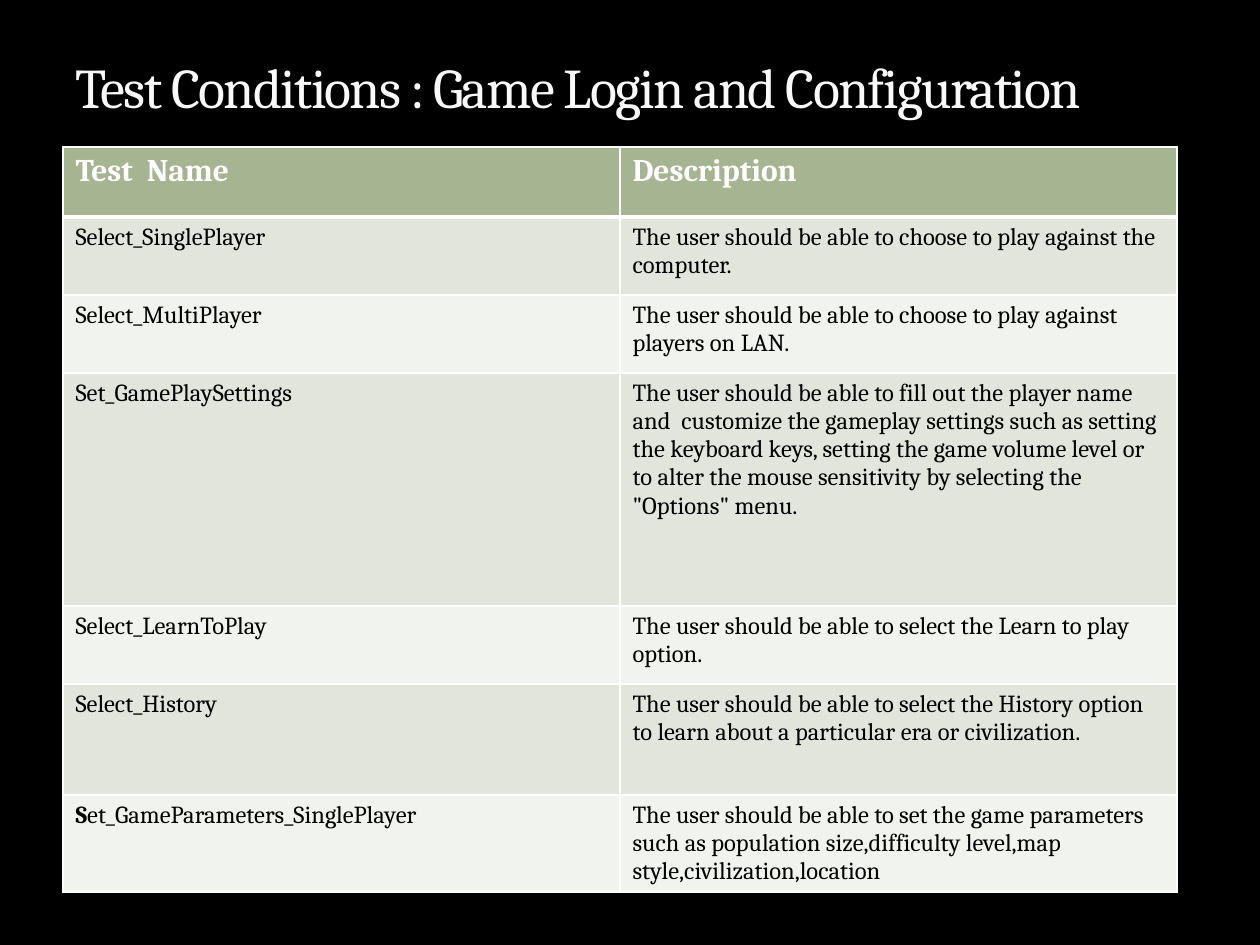
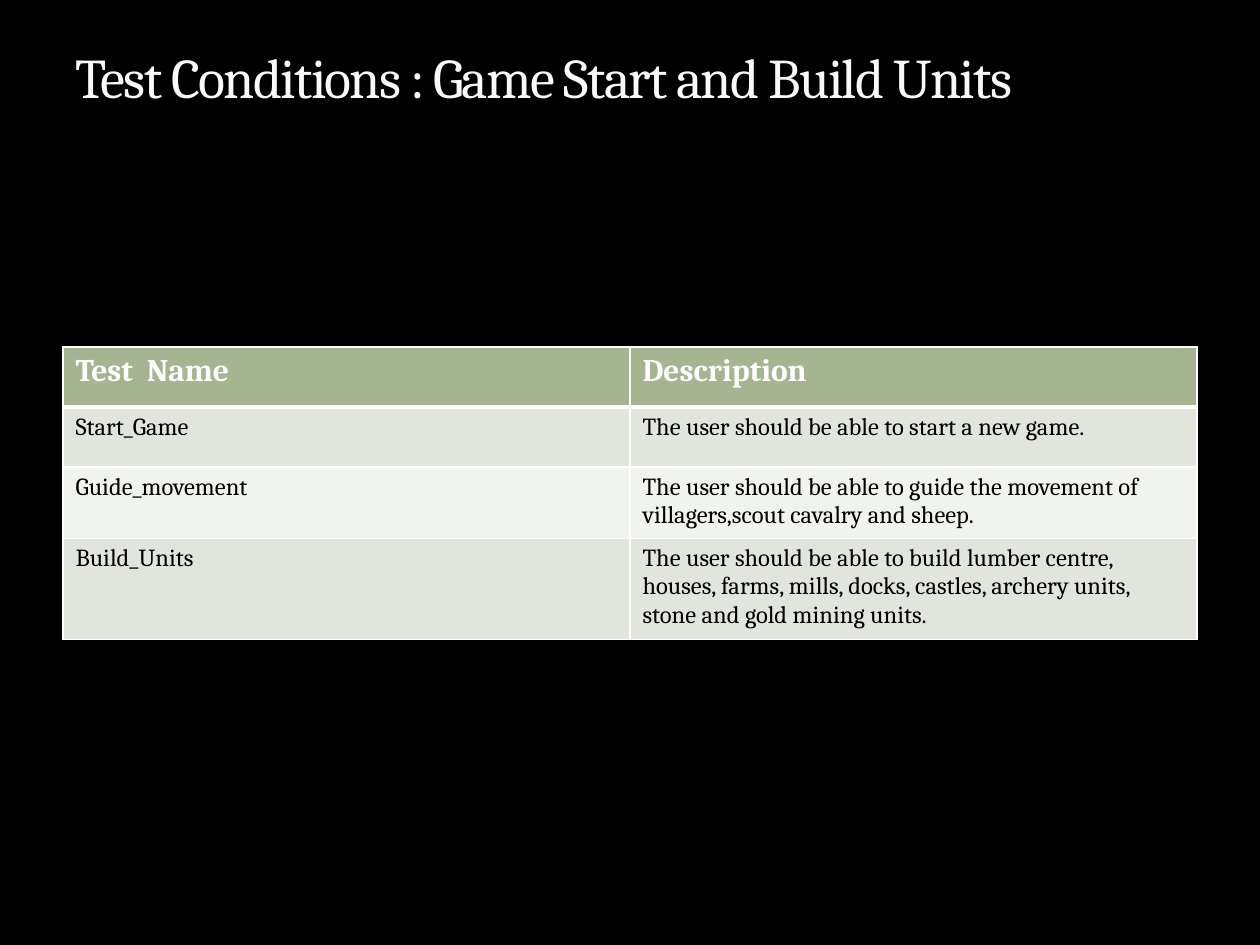
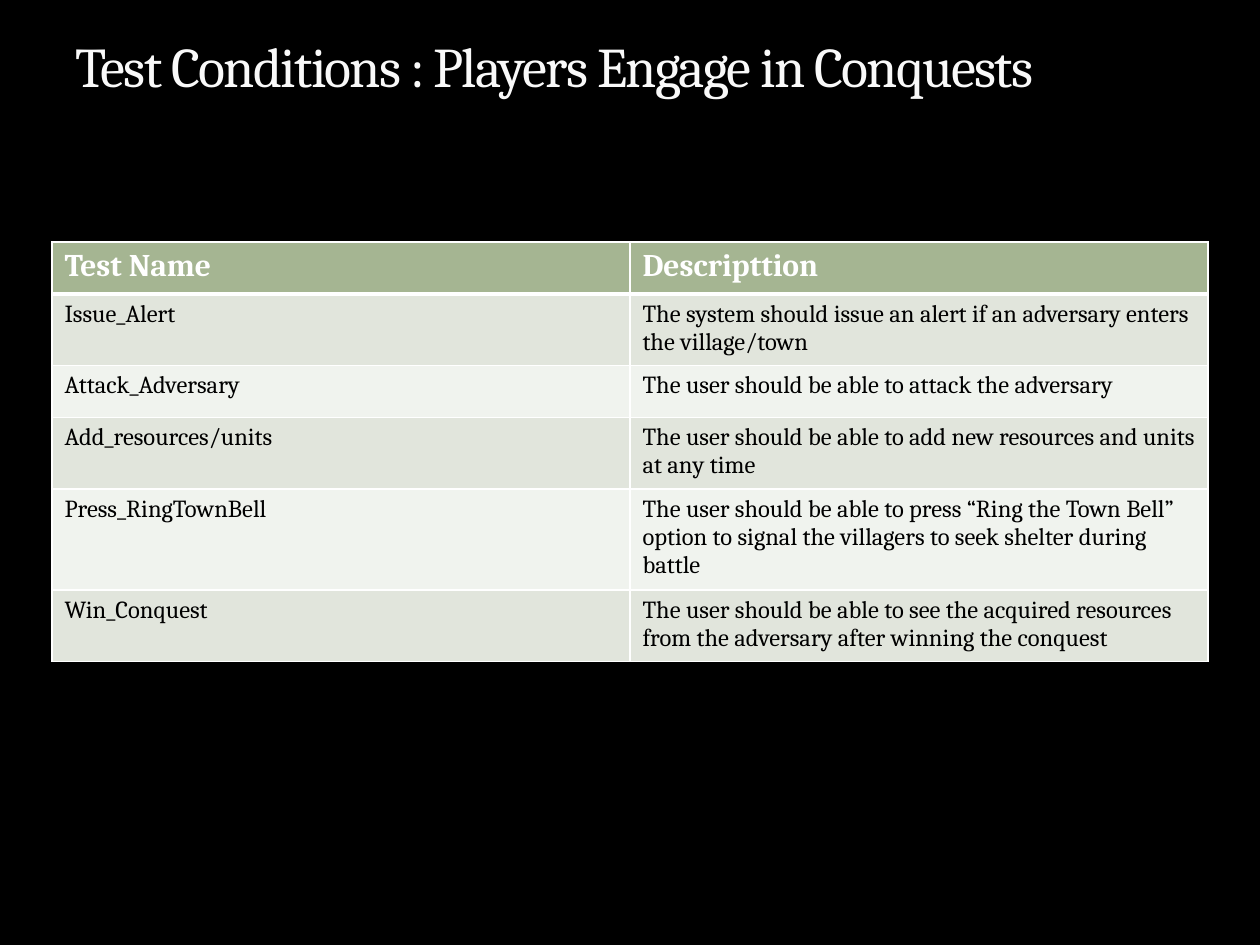
import dataclasses

import lxml.etree
import pptx
import pptx.dml.color
import pptx.enum.text
import pptx.oxml.ns
import pptx.util


@dataclasses.dataclass(frozen=True)
class Theme:
    font: str = "Cambria"
    background: str = "000000"
    title: str = "F9F9F9"
    title_outline: str = "3C4422"
    header_fill: str = "A5B592"
    header_text: str = "FFFFFF"
    body_text: str = "000000"
    band_fills: tuple = ("F0F3EE", "E1E5DC")
    border: str = "FFFFFF"
    title_size: int = 32
    header_size: int = 18
    body_size: int = 14
    border_width: int = 1
    header_rule_width: int = 3


theme = Theme()
EMU_PER_PX = 914400 / 126
SLIDE_WIDTH, SLIDE_HEIGHT = 1260, 945
TITLE_LEFT, TITLE_WIDTH = 63, 1134


def px(length):
    return pptx.util.Emu(round(length * EMU_PER_PX))


def add_line(parent, tag, width, color, alpha=100):
    """Add a solid line element, with width in points and alpha in percent."""
    line = lxml.etree.SubElement(parent, pptx.oxml.ns.qn(tag), w=str(pptx.util.Pt(width)))
    fill = lxml.etree.SubElement(line, pptx.oxml.ns.qn("a:solidFill"))
    rgb = lxml.etree.SubElement(fill, pptx.oxml.ns.qn("a:srgbClr"), val=color)
    if alpha < 100:
        lxml.etree.SubElement(rgb, pptx.oxml.ns.qn("a:alpha"), val=str(alpha * 1000))


# A cell is a string, or a list of (text, bold) pairs.
pages = [
    {
        "title": "Test Conditions : Game Login and Configuration",
        "title_top": 42, "title_height": 84,
        "table_left": 63, "table_top": 147, "column_width": 557,
        "row_heights": [70, 78, 78, 233, 78, 111, 78],
        "rows": [
            ("Test  Name", "Description"),
            ("Select_SinglePlayer",
             "The user should be able to choose to play against the computer."),
            ("Select_MultiPlayer",
             "The user should be able to choose to play against players on LAN."),
            ("Set_GamePlaySettings",
             "The user should be able to fill out the player name and  customize the gameplay "
             "settings such as setting the keyboard keys, setting the game volume level or to "
             "alter the mouse sensitivity by selecting the \"Options\" menu."),
            ("Select_LearnToPlay",
             "The user should be able to select the Learn to play option."),
            ("Select_History",
             "The user should be able to select the History option to learn about a particular "
             "era or civilization."),
            ([("S", True), ("et_GameParameters_SinglePlayer", False)],
             "The user should be able to set the game parameters such as population "
             "size,difficulty level,map style,civilization,location"),
        ],
    },
    {
        "title": "Test Conditions : Game Start and Build Units",
        "title_top": 21, "title_height": 95,
        "table_left": 63, "table_top": 347, "column_width": 567,
        "row_heights": [60] * 4,
        "rows": [
            ("Test  Name", "Description"),
            ("Start_Game", "The user should be able to start a new game."),
            ("Guide_movement",
             "The user should be able to guide the movement of villagers,scout cavalry and sheep."),
            ("Build_Units",
             "The user should be able to build lumber centre, houses, farms, mills, docks, "
             "castles, archery units, stone and gold mining units."),
        ],
    },
    {
        "title": "Test Conditions : Players Engage in Conquests",
        "title_top": 21, "title_height": 84,
        "table_left": 52, "table_top": 242, "column_width": 578,
        "row_heights": [52] * 6,
        "rows": [
            ("Test Name", "Descripttion"),
            ("Issue_Alert",
             "The system should issue an alert if an adversary enters the village/town"),
            ("Attack_Adversary", "The user should be able to attack the adversary"),
            ("Add_resources/units",
             "The user should be able to add new resources and units at any time"),
            ("Press_RingTownBell",
             "The user should be able to press “Ring the Town Bell” option to signal the "
             "villagers to seek shelter during battle"),
            ("Win_Conquest",
             "The user should be able to see the acquired resources from the adversary after "
             "winning the conquest"),
        ],
    },
]

presentation = pptx.Presentation()
presentation.slide_width = px(SLIDE_WIDTH)
presentation.slide_height = px(SLIDE_HEIGHT)

for page in pages:
    slide = presentation.slides.add_slide(presentation.slide_layouts[6])
    slide.background.fill.solid()
    slide.background.fill.fore_color.rgb = pptx.dml.color.RGBColor.from_string(theme.background)

    # Table
    rows = page["rows"]
    table = slide.shapes.add_table(
        len(rows), 2, px(page["table_left"]), px(page["table_top"]),
        px(2 * page["column_width"]), px(sum(page["row_heights"]))).table
    for column in table.columns:
        column.width = px(page["column_width"])
    for row_index, row in enumerate(rows):
        table.rows[row_index].height = px(page["row_heights"][row_index])
        is_header = row_index == 0
        cell_fill = theme.header_fill if is_header else theme.band_fills[row_index % 2]
        text_color = theme.header_text if is_header else theme.body_text
        text_size = theme.header_size if is_header else theme.body_size
        border_widths = {
            "a:lnL": theme.border_width,
            "a:lnR": theme.border_width,
            "a:lnT": theme.header_rule_width if row_index == 1 else theme.border_width,
            "a:lnB": theme.header_rule_width if is_header else theme.border_width,
        }
        for column_index, content in enumerate(row):
            cell = table.cell(row_index, column_index)
            cell_properties = cell._tc.get_or_add_tcPr()
            for tag, width in border_widths.items():
                add_line(cell_properties, tag, width, theme.border)
            cell.fill.solid()
            cell.fill.fore_color.rgb = pptx.dml.color.RGBColor.from_string(cell_fill)
            pieces = [(content, is_header)] if isinstance(content, str) else content
            for text, bold in pieces:
                run = cell.text_frame.paragraphs[0].add_run()
                run.text = text
                font_format = {"name": theme.font, "size": pptx.util.Pt(text_size), "bold": bold}
                for attribute, value in font_format.items():
                    setattr(run.font, attribute, value)
                run.font.color.rgb = pptx.dml.color.RGBColor.from_string(text_color)

    # Title
    title_box = slide.shapes.add_textbox(
        px(TITLE_LEFT), px(page["title_top"]), px(TITLE_WIDTH), px(page["title_height"]))
    title_box.text_frame.word_wrap = True
    title_box.text_frame.vertical_anchor = pptx.enum.text.MSO_ANCHOR.BOTTOM
    run = title_box.text_frame.paragraphs[0].add_run()
    run.text = page["title"]
    run_properties = run._r.get_or_add_rPr()
    run_properties.set("spc", "-100")
    add_line(run_properties, "a:ln", 0.25, theme.title_outline, alpha=25)
    for attribute, value in {"name": theme.font, "size": pptx.util.Pt(theme.title_size)}.items():
        setattr(run.font, attribute, value)
    run.font.color.rgb = pptx.dml.color.RGBColor.from_string(theme.title)

presentation.save("out.pptx")
